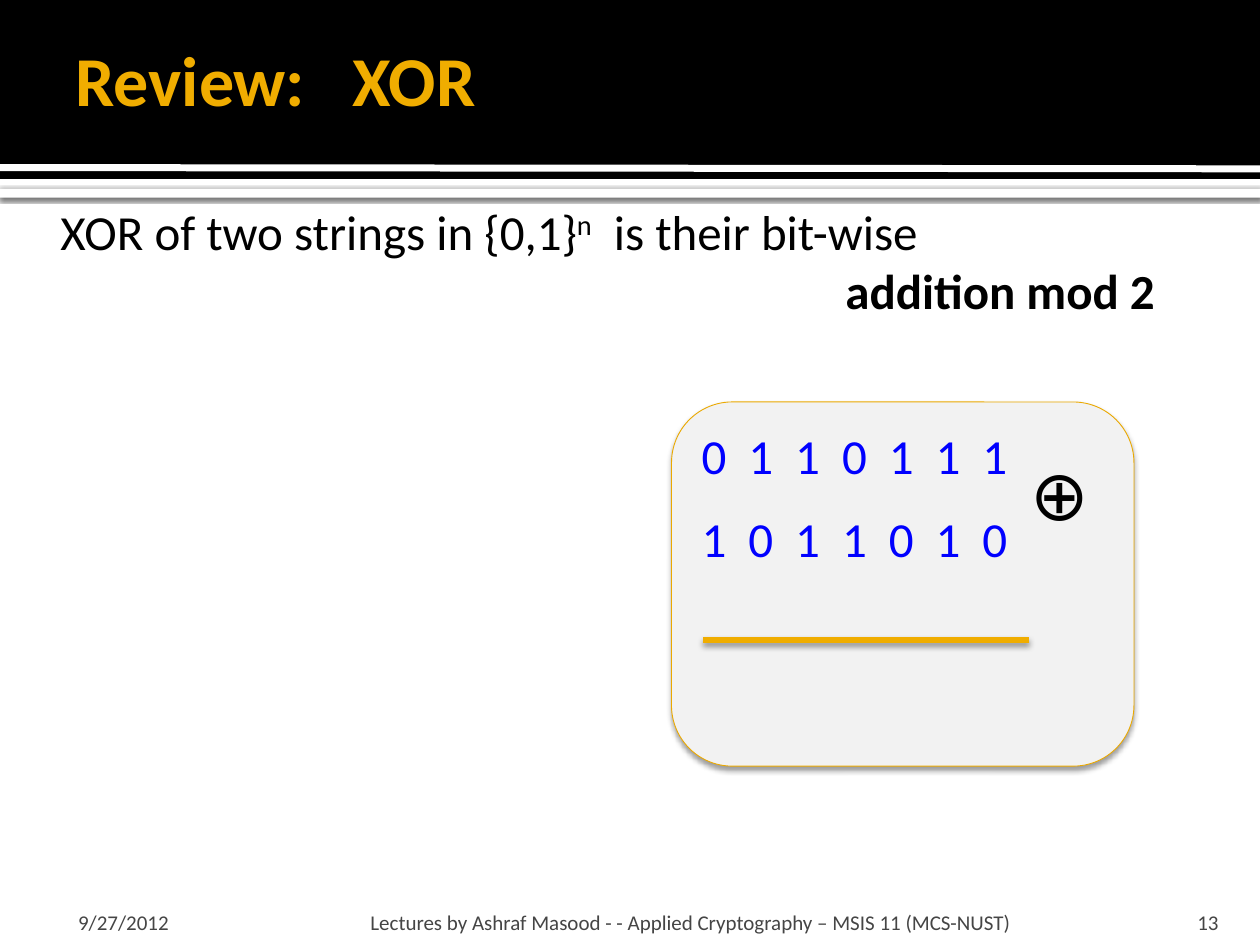
from lxml import etree
from pptx import Presentation
from pptx.dml.color import RGBColor
from pptx.enum.shapes import MSO_CONNECTOR, MSO_SHAPE
from pptx.enum.text import MSO_ANCHOR, MSO_AUTO_SIZE, PP_ALIGN
from pptx.oxml.ns import qn
from pptx.util import Inches, Pt

LEFT, RIGHT = PP_ALIGN.LEFT, PP_ALIGN.RIGHT
TOP, MIDDLE, BOTTOM = MSO_ANCHOR.TOP, MSO_ANCHOR.MIDDLE, MSO_ANCHOR.BOTTOM
NO_FIT = MSO_AUTO_SIZE.NONE
STRAIGHT = MSO_CONNECTOR.STRAIGHT
RECTANGLE, ROUNDED = MSO_SHAPE.RECTANGLE, MSO_SHAPE.ROUNDED_RECTANGLE

BLACK = RGBColor(0x00, 0x00, 0x00)
WHITE = RGBColor(0xFF, 0xFF, 0xFF)
GOLD = RGBColor(0xF0, 0xAD, 0x00)
BORDER_GOLD = RGBColor(0xEB, 0xA9, 0x00)
BLUE = RGBColor(0x00, 0x00, 0xFF)
PANEL_GREY = RGBColor(0xF2, 0xF2, 0xF2)
FOOTER_GREY = RGBColor(0x45, 0x45, 0x45)


def inches(*lengths):
    return [Inches(length) for length in lengths]


def set_effects(shape, opacity=None, blur=0, distance=0):
    properties = shape._element.spPr
    effects = properties.find(qn("a:effectLst"))
    if effects is None:
        effects = etree.SubElement(properties, qn("a:effectLst"))
    if opacity is None:
        return
    shadow = etree.SubElement(
        effects, qn("a:outerShdw"), blurRad=str(Pt(blur)), dist=str(Pt(distance)),
        dir="5400000", algn="t", rotWithShape="0")
    color = etree.SubElement(shadow, qn("a:srgbClr"), val=str(BLACK))
    etree.SubElement(color, qn("a:alpha"), val=str(opacity * 1000))


def add_panel(shapes, kind, box, fill, border=None):
    shape = shapes.add_shape(kind, *inches(*box))
    shape.shadow.inherit = False
    shape.fill.solid()
    shape.fill.fore_color.rgb = fill
    if border is None:
        shape.line.fill.background()
    else:
        shape.line.color.rgb = border
        shape.line.width = Pt(0.5)
    return shape


def add_rule(shapes, start, end, color, width):
    rule = shapes.add_connector(STRAIGHT, *inches(*start, *end))
    rule.line.color.rgb = color
    rule.line.width = Pt(width)
    return rule


def format_frame(frame, margins=(0.1, 0.05, 0.1, 0.05), anchor=TOP, wrap=True):
    left, top, right, bottom = inches(*margins)
    values = {"margin_left": left, "margin_top": top, "margin_right": right,
              "margin_bottom": bottom, "vertical_anchor": anchor,
              "word_wrap": wrap, "auto_size": NO_FIT}
    for name, value in values.items():
        setattr(frame, name, value)


def add_runs(paragraph, *texts):
    for text in texts:
        paragraph.add_run().text = text


def set_run_property(run, name, value):
    run._r.get_or_add_rPr().set(name, str(value))


def format_paragraph(paragraph, size, color, bold=False, alignment=LEFT, indent=0):
    properties = paragraph._p.get_or_add_pPr()
    properties.set("marL", str(Inches(indent)))
    properties.set("indent", "0")
    etree.SubElement(properties, qn("a:buNone"))
    paragraph.alignment = alignment
    paragraph.space_before = Pt(0)
    for run in paragraph.runs:
        values = {"name": "Calibri", "size": Pt(size), "bold": bold}
        for name, value in values.items():
            setattr(run.font, name, value)
        run.font.color.rgb = color


def place(shape, box):
    for name, value in zip(("left", "top", "width", "height"), inches(*box)):
        setattr(shape, name, value)


def build_header(slide, box):
    left, top, width, height = box
    band = add_panel(slide.shapes, RECTANGLE, (left, top + 1.5, width, 0.07), WHITE)
    set_effects(band, 60, 2.5, 0.8)
    add_panel(slide.shapes, RECTANGLE, (left, top, width, height), BLACK)
    stripe = add_rule(slide.shapes, (left, top + 1.33), (left + width, top + 1.34), WHITE, 4)
    set_effects(stripe)


def build_title(title, box):
    place(title, box)
    format_frame(title.text_frame, (0.1, 0.05, 0.05, 0.05), MIDDLE)
    paragraph = title.text_frame.paragraphs[0]
    add_runs(paragraph, "Review:", " ", "XOR")
    set_run_property(paragraph.runs[1], "spc", 1810)
    format_paragraph(paragraph, 40, GOLD, bold=True)


def build_body(body, box):
    place(body, box)
    frame = body.text_frame
    format_frame(frame, (0.06, 0.1, 0.1, 0.05))
    definition = frame.paragraphs[0]
    add_runs(definition, "XOR of two strings in {0,1}", "n", " ", "is their bit-wise")
    set_run_property(definition.runs[1], "baseline", 30000)
    set_run_property(definition.runs[2], "spc", 630)
    format_paragraph(definition, 28, BLACK)
    emphasis = frame.add_paragraph()
    add_runs(emphasis, "addition mod 2")
    format_paragraph(emphasis, 28, BLACK, bold=True, indent=6.23)


def build_sum(slide, box):
    left, top, width, height = box
    shapes = slide.shapes.add_group_shape().shapes
    panel = add_panel(shapes, ROUNDED, box, PANEL_GREY, BORDER_GOLD)
    set_effects(panel, 38, 3.1, 2)
    frame = panel.text_frame
    format_frame(frame)
    for index, bits in enumerate(("0110111", "1011010")):
        paragraph = frame.add_paragraph() if index else frame.paragraphs[0]
        add_runs(paragraph, " ".join(bits))
        set_run_property(paragraph.runs[0], "spc", 316)
        format_paragraph(paragraph, 28, BLUE)
    frame.paragraphs[1].line_spacing = 1.4

    rule_top = top + 1.89
    rule = add_rule(shapes, (left + 0.25, rule_top), (left + 2.84, rule_top), GOLD, 3.78)
    set_effects(rule, 38, 3.5, 2)

    operator = shapes.add_textbox(*inches(left + 2.75, top + 0.34, 0.76, 0.77))
    format_frame(operator.text_frame, wrap=False)
    paragraph = operator.text_frame.paragraphs[0]
    add_runs(paragraph, "⊕")
    format_paragraph(paragraph, 40, BLACK)


def build_footer(slide, top, height):
    items = (
        ("9/27/2012", 0.5, 2.33, (0.12, 0.05, 0.05, 0), LEFT),
        ("13", 8.97, 0.8, (0.1, 0.05, 0.1, 0), RIGHT),
        ("Lectures by Ashraf Masood - - Applied Cryptography – MSIS 11 (MCS-NUST)",
         2.89, 6.02, (0.05, 0.05, 0.05, 0), LEFT),
    )
    for text, left, width, margins, alignment in items:
        textbox = slide.shapes.add_textbox(*inches(left, top, width, height))
        format_frame(textbox.text_frame, margins, BOTTOM)
        paragraph = textbox.text_frame.paragraphs[0]
        add_runs(paragraph, text)
        format_paragraph(paragraph, 12, FOOTER_GREY, alignment=alignment)


def main():
    presentation = Presentation()
    presentation.slide_width, presentation.slide_height = inches(10, 7.5)
    slide = presentation.slides.add_slide(presentation.slide_layouts[1])
    title, body = slide.shapes.title, slide.placeholders[1]
    build_header(slide, (0, 0, 10, 1.42))
    for placeholder in (body, title):
        slide.shapes._spTree.append(placeholder._element)
    build_title(title, (0.5, 0.08, 8.25, 1.08))
    build_body(body, (0.42, 1.5, 9.33, 5.58))
    build_sum(slide, (5.33, 3.19, 3.67, 2.89))
    build_footer(slide, 7.12, 0.3)
    presentation.save("out.pptx")


if __name__ == "__main__":
    main()
